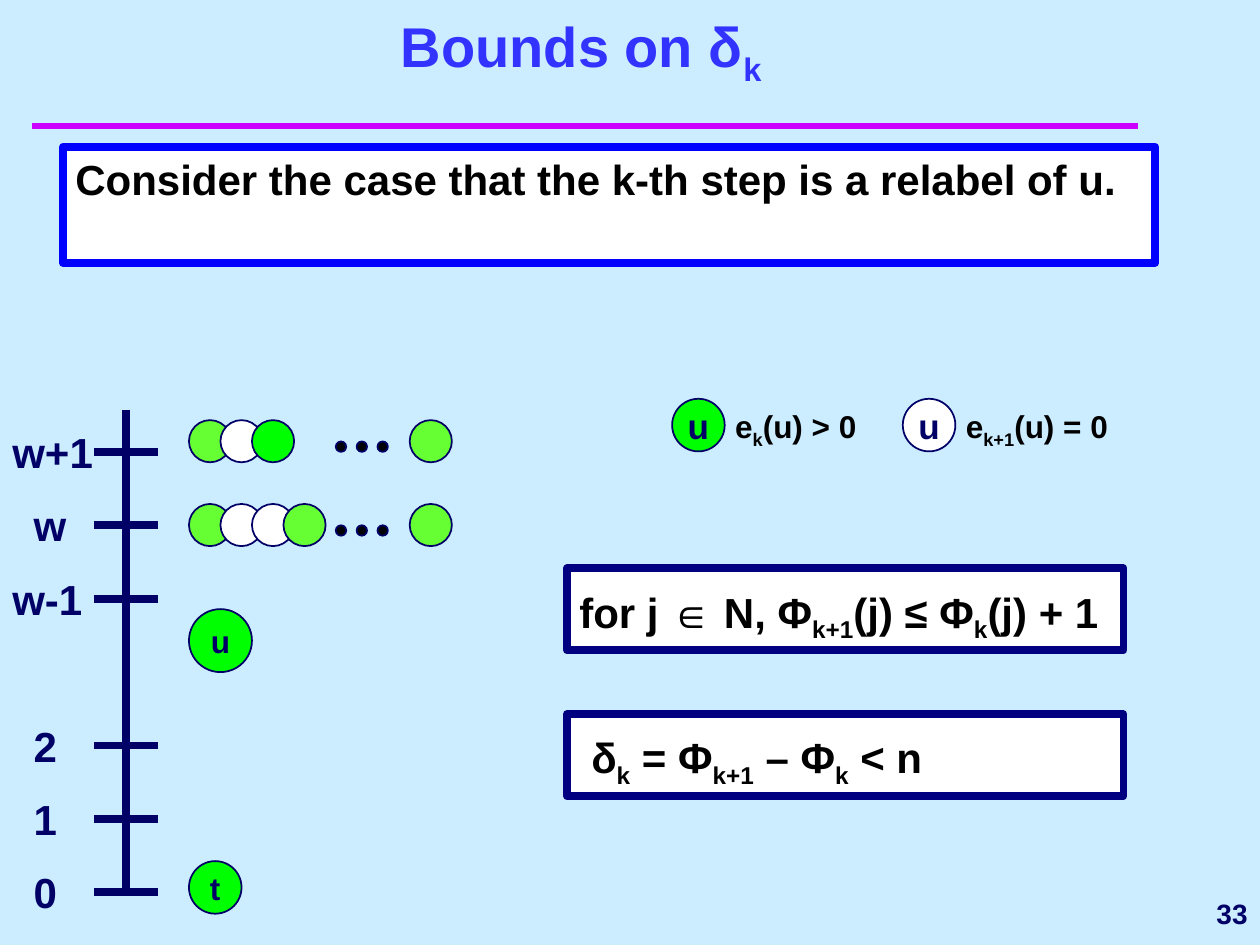
from dataclasses import dataclass

from lxml.etree import SubElement
from pptx import Presentation
from pptx.dml.color import RGBColor
from pptx.enum.shapes import MSO_CONNECTOR, MSO_SHAPE
from pptx.enum.text import MSO_ANCHOR, MSO_AUTO_SIZE, PP_ALIGN
from pptx.oxml.ns import qn
from pptx.util import Cm, Pt


@dataclass(frozen=True)
class Theme:
    font: str = "Arial"
    back: str = "CCECFF"
    title: str = "3333FF"
    rule: str = "CC00FF"
    frame: str = "0000FF"
    edge: str = "000080"
    navy: str = "000066"
    black: str = "000000"
    white: str = "FFFFFF"
    green: str = "00FF00"
    lime: str = "66FF33"
    head: int = 32
    body: int = 24
    node: int = 20
    note: int = 18
    page: int = 16
    thick: float = 4.5
    thin: float = 1


THEME = Theme()
STEP = 1.48
BASE = 17.99
LEVELS = {0: "0", 1: "1", 2: "2", 4: "w-1", 5: "w", 6: "w+1"}


def rgb(code):
    return RGBColor.from_string(code)


def write(shape, parts, size, color, align=PP_ALIGN.LEFT,
          anchor=MSO_ANCHOR.TOP, wrap=True):
    """Odd-numbered parts are set as subscripts."""
    frame = shape.text_frame
    frame.word_wrap = wrap
    frame.auto_size = MSO_AUTO_SIZE.NONE
    frame.vertical_anchor = anchor
    para = frame.paragraphs[0]
    para.alignment = align
    for i, part in enumerate(parts):
        run = para.add_run()
        run.text = part
        font = run.font
        font.name, font.size, font.bold = THEME.font, Pt(size), True
        font.color.rgb = rgb(color)
        if i % 2:
            run._r.get_or_add_rPr().set("baseline", "-25000")
    return para


def add_text(shapes, box, parts, size, color, **style):
    shape = shapes.add_textbox(*map(Cm, box))
    write(shape, parts, size, color, **style)
    return shape


def add_form(shapes, kind, box, fill, edge, width):
    shape = shapes.add_shape(kind, *map(Cm, box))
    shape.shadow.inherit = False
    shape.fill.solid()
    shape.fill.fore_color.rgb = rgb(fill)
    shape.line.color.rgb = rgb(edge)
    shape.line.width = Pt(width)
    return shape


def add_box(shapes, box, parts, edge):
    shape = add_form(shapes, MSO_SHAPE.RECTANGLE, box, THEME.white, edge, THEME.thick)
    return shape, write(shape, parts, THEME.body, THEME.black)


def add_node(shapes, x, y, size, fill, label="", points=THEME.note):
    shape = add_form(shapes, MSO_SHAPE.OVAL, (x, y, size, size), fill,
                     THEME.navy, THEME.thin)
    if label:
        write(shape, [label], points, THEME.navy, PP_ALIGN.CENTER,
              MSO_ANCHOR.MIDDLE, False)


def add_line(shapes, start, end, color, width):
    line = shapes.add_connector(MSO_CONNECTOR.STRAIGHT, *map(Cm, start + end))
    line.line.color.rgb = rgb(color)
    line.line.width = Pt(width)
    SubElement(line._element.spPr, qn("a:effectLst"))


def add_axis(shapes):
    add_line(shapes, (2.54, 8.26), (2.54, BASE), THEME.navy, THEME.thick)
    for level, name in LEVELS.items():
        y = BASE - STEP * level
        add_line(shapes, (1.9, y), (3.18, y), THEME.navy, THEME.thick)
        x = 0 if len(name) > 1 else 0.43
        add_text(shapes, (x, y - 0.64, 2.54, 1.27), [name], THEME.body, THEME.navy)


def add_row(shapes, y, fills):
    for i, fill in enumerate(fills):
        add_node(shapes, 3.81 + 0.635 * i, y, 0.85, fill)
    dots = shapes.add_group_shape().shapes
    for i in range(3):
        add_node(dots, 6.77 + 0.42 * i, y + 0.43, 0.21, THEME.black)
    add_node(shapes, 8.26, y, 0.85, THEME.lime)


def add_key(shapes, x, width, fill, parts):
    pair = shapes.add_group_shape().shapes
    add_node(pair, x, 8.04, 1.06, fill, "u", THEME.node)
    add_text(pair, (x + 1.02, 8.08, width, 1.12), parts, THEME.note, THEME.black)


def add_rule(shapes, y, parts, inset):
    shape, para = add_box(shapes, (11.43, y, 11.22, 1.65), parts, THEME.edge)
    shape.text_frame.margin_left = Cm(inset)
    para.line_spacing = 1.2
    para.space_after = Pt(4.5)


def main():
    deck = Presentation()
    deck.slide_width, deck.slide_height = Cm(25.4), Cm(19.05)
    slide = deck.slides.add_slide(deck.slide_layouts[5])
    slide.background.fill.solid()
    slide.background.fill.fore_color.rgb = rgb(THEME.back)
    shapes = slide.shapes

    title = shapes.title
    title.left, title.top, title.width, title.height = map(Cm, (0.92, 0.43, 21.59, 1.47))
    write(title, ["Bounds on δ", "k"], THEME.head, THEME.title,
          PP_ALIGN.CENTER, MSO_ANCHOR.BOTTOM)
    add_line(shapes, (0.64, 2.54), (22.94, 2.54), THEME.rule, 4)
    add_box(shapes, (1.27, 2.96, 22.02, 2.34),
            ["Consider the case that the k-th step is a relabel of u."], THEME.frame)

    add_axis(shapes)
    lime, white, green = THEME.lime, THEME.white, THEME.green
    add_row(shapes, 10.16, [lime, white, white, lime])
    add_row(shapes, 8.47, [lime, white, green])
    add_node(shapes, 3.81, 12.28, 1.27, green, "u")
    add_node(shapes, 3.81, 17.36, 1.06, green, "t")

    add_key(shapes, 13.55, 3.4, green, ["e", "k", "(u) > 0"])
    add_key(shapes, 18.2, 4.66, white, ["e", "k+1", "(u) = 0"])
    add_rule(shapes, 11.46, ["for j ∈ N, Φ", "k+1", "(j) ≤ Φ", "k", "(j) + 1"], 0.25)
    add_rule(shapes, 14.4, ["δ", "k", " = Φ", "k+1", " – Φ", "k", " < n"], 0.49)
    add_text(shapes, (23.92, 17.78, 1.48, 1.27), ["33"], THEME.page, THEME.navy,
             align=PP_ALIGN.RIGHT, anchor=MSO_ANCHOR.MIDDLE, wrap=False)
    deck.save("out.pptx")


if __name__ == "__main__":
    main()
